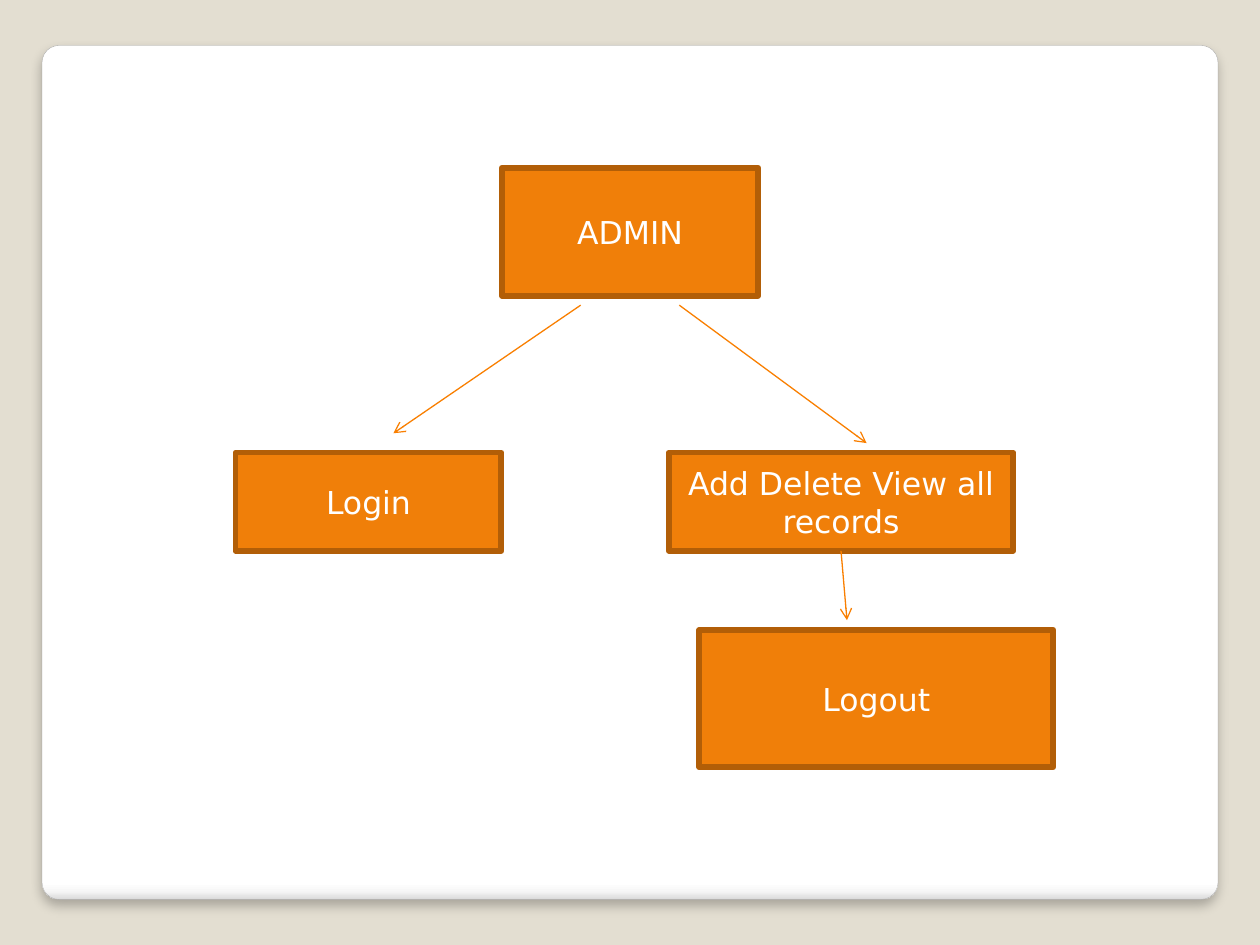
"""Build the admin flow diagram slide."""
from lxml import etree
from pptx import Presentation
from pptx import util as u
from pptx.dml.color import RGBColor
from pptx.enum import shapes, text
from pptx.oxml.ns import qn


def color(value):
    return RGBColor.from_string(value)


def add_element(parent, tag, **attributes):
    return etree.SubElement(parent, qn(tag), attributes)


presentation = Presentation()
presentation.slide_width, presentation.slide_height = u.Pt(720), u.Pt(540)
slide = presentation.slides.add_slide(presentation.slide_layouts[6])
slide.background.fill.solid()
slide.background.fill.fore_color.rgb = color("E3DED1")

panel = slide.shapes.add_shape(
    shapes.MSO_SHAPE.ROUNDED_RECTANGLE, u.Pt(24), u.Pt(26), u.Pt(672), u.Pt(488))
panel.adjustments[0] = 0.02
panel.line.color.rgb = color("A4A4A4")
panel.line.width = u.Pt(0.16)
panel.shadow.inherit = False
panel.fill.gradient()
panel.fill.gradient_angle = 270
properties = panel._element.spPr
stops = properties.find(qn("a:gradFill")).find(qn("a:gsLst"))
for stop in list(stops):
    stops.remove(stop)
for percent, value in [(0, "FFFFFF"), (98, "FFFFFF"), (99, "F7F7F7"), (100, "DADADA")]:
    stop = add_element(stops, "a:gs", pos=str(percent * 1000))
    add_element(stop, "a:srgbClr", val=value)
shadow = add_element(properties.find(qn("a:effectLst")), "a:outerShdw",
                     blurRad=str(u.Pt(6)), dist=str(u.Pt(4)), dir="5400000",
                     algn="ctr", rotWithShape="0")
shadow_color = add_element(shadow, "a:srgbClr", val="000000")
add_element(shadow_color, "a:alpha", val="25000")

font_format = {"name": "DejaVu Sans", "size": u.Pt(18)}
boxes = {}
for label, left, top, width, height in [
    ("ADMIN", 286.8, 95.8, 146.4, 73.2),
    ("Login", 134.6, 258.6, 152, 56.2),
    ("Add Delete View all records", 382.2, 258.6, 196.8, 56.2),
    ("Logout", 399.6, 360, 202.4, 78.4),
]:
    shape = slide.shapes.add_shape(
        shapes.MSO_SHAPE.RECTANGLE, u.Pt(left), u.Pt(top), u.Pt(width), u.Pt(height))
    shape.shadow.inherit = False
    shape.fill.solid()
    shape.fill.fore_color.rgb = color("F07F09")
    shape.line.color.rgb = color("B25E07")
    shape.line.width = u.Pt(3.35)
    shape.text_frame.word_wrap = True
    shape.text_frame.vertical_anchor = text.MSO_ANCHOR.MIDDLE
    paragraph = shape.text_frame.paragraphs[0]
    paragraph.alignment = text.PP_ALIGN.CENTER
    run = paragraph.add_run()
    run.text = label
    for name, value in font_format.items():
        setattr(run.font, name, value)
    run.font.color.rgb = color("FFFFFF")
    boxes[label] = shape

for start_x, start_y, end_x, end_y, source in [
    (331.8, 174.4, 224.8, 247.6, None),
    (388.2, 174.4, 495.2, 253.2, None),
    (480.6, 314.8, 484, 354.4, "Add Delete View all records"),
]:
    arrow = slide.shapes.add_connector(
        shapes.MSO_CONNECTOR.STRAIGHT,
        u.Pt(start_x), u.Pt(start_y), u.Pt(end_x), u.Pt(end_y))
    if source:
        arrow.begin_connect(boxes[source], 2)
    arrow.line.color.rgb = color("F97F00")
    arrow.line.width = u.Pt(0.75)
    add_element(arrow.line._get_or_add_ln(), "a:tailEnd", type="arrow")
    add_element(arrow._element.spPr, "a:effectLst")

presentation.save("out.pptx")
